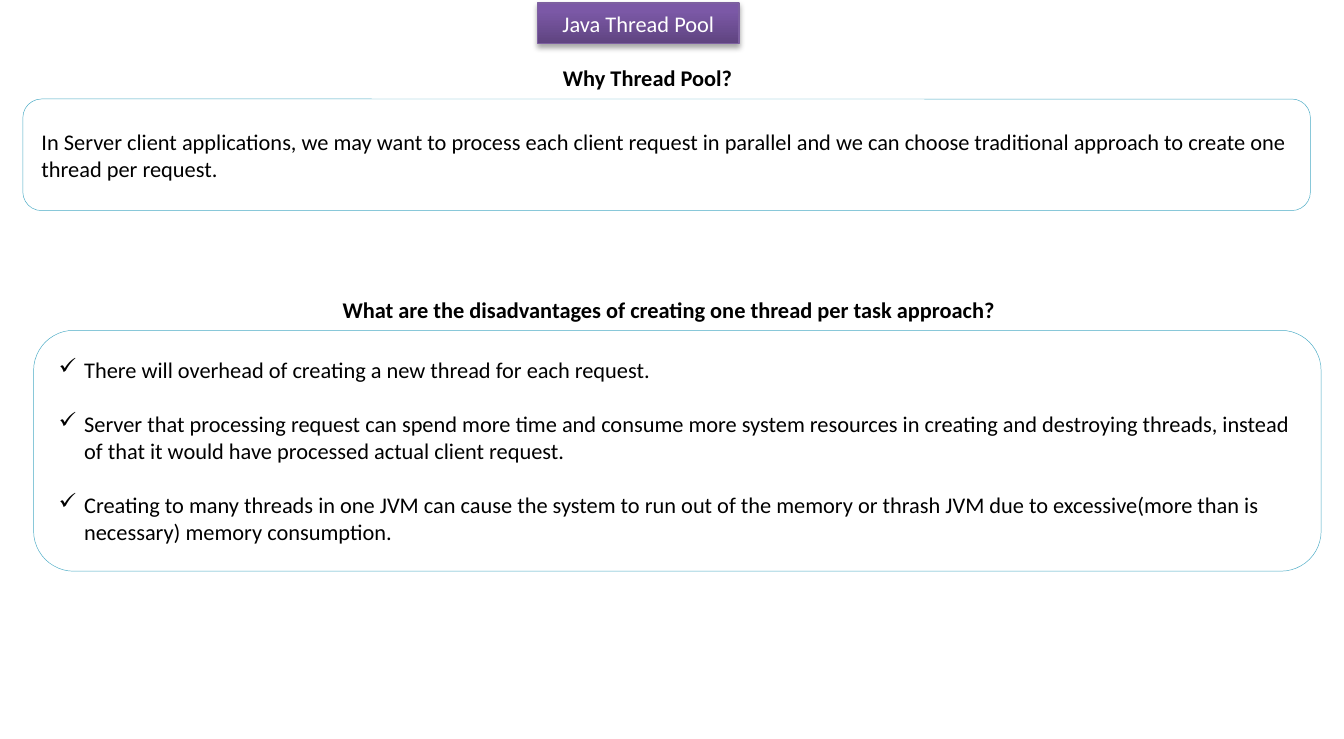
from lxml import etree
from pptx import Presentation
from pptx.dml.color import RGBColor
from pptx.enum.shapes import MSO_SHAPE
from pptx.enum.text import MSO_ANCHOR, MSO_AUTO_SIZE, PP_ALIGN
from pptx.oxml.ns import qn
from pptx.util import Inches, Pt

ROUNDED = MSO_SHAPE.ROUNDED_RECTANGLE
MIDDLE, TOP = MSO_ANCHOR.MIDDLE, MSO_ANCHOR.TOP
CENTER, LEFT = PP_ALIGN.CENTER, PP_ALIGN.LEFT
FIXED = MSO_AUTO_SIZE.NONE
BODY = {"name": "Calibri", "size": Pt(12), "bold": False}
HEADING = {**BODY, "bold": True}
BULLET_INDENT = Inches(0.19)


def color(value):
    return RGBColor.from_string(value)


def write(shape, lines, font, ink, alignment, anchor, wrap):
    frame = shape.text_frame
    frame.text = "\n".join(lines)
    frame.word_wrap = wrap
    frame.auto_size = FIXED
    frame.vertical_anchor = anchor
    for index, paragraph in enumerate(frame.paragraphs):
        paragraph.alignment = alignment
        if index:
            paragraph.space_before = Pt(14.5)
        if len(lines) > 1:
            properties = paragraph._p.get_or_add_pPr()
            properties.set("marL", str(BULLET_INDENT))
            properties.set("indent", str(-BULLET_INDENT))
            etree.SubElement(properties, qn("a:buFont"), typeface="Wingdings")
            etree.SubElement(properties, qn("a:buChar"), char="ü")
        for name, value in font.items():
            setattr(paragraph.font, name, value)
        paragraph.font.color.rgb = color(ink)


presentation = Presentation()
presentation.slide_width = Inches(10)
presentation.slide_height = Inches(5.5)
column = presentation.slide_width / 100
row = presentation.slide_height / 100
slide = presentation.slides.add_slide(presentation.slide_layouts[5])

title = slide.shapes.title
title.left, title.top = int(40 * column), int(0.4 * row)
title.width, title.height = int(15 * column), int(5.5 * row)
title.fill.gradient()
title.fill.gradient_angle = 90
for stop, (position, shade) in zip(title.fill.gradient_stops, [(0, "5F4480"), (0.8, "7B58A6")]):
    stop.position = position
    stop.color.rgb = color(shade)
title.line.color.rgb = color("7D60A0")
title.line.width = Pt(0.75)
title.shadow.inherit = False
effects = title._element.spPr.find(qn("a:effectLst"))
shadow = etree.SubElement(effects, qn("a:outerShdw"), blurRad=str(Pt(3.1)),
                          dist=str(Pt(1.8)), dir="5400000", rotWithShape="0")
shadow_color = etree.SubElement(shadow, qn("a:srgbClr"), val="000000")
etree.SubElement(shadow_color, qn("a:alpha"), val="35000")
write(title, ["Java Thread Pool"], BODY, "FFFFFF", CENTER, MIDDLE, True)

headings = [
    (40.9, 7.8, 14.8, "Why Thread Pool?"),
    (24.5, 39.2, 51.1, "What are the disadvantages of creating one thread per task approach?"),
]
for left, top, width, text in headings:
    heading = slide.shapes.add_textbox(
        int(left * column), int(top * row), int(width * column), int(5.5 * row))
    write(heading, [text], HEADING, "000000", LEFT, TOP, False)

panels = [
    (1.7, 13.4, 15.1, [
        "In Server client applications, we may want to process each client request in parallel "
        "and we can choose traditional approach to create one thread per request.",
    ]),
    (2.5, 44.7, 32.6, [
        "There will overhead of creating a new thread for each request.",
        "Server that processing request can spend more time and consume more system resources "
        "in creating and destroying threads, instead of that it would have processed actual "
        "client request.",
        "Creating to many threads in one JVM can cause the system to run out of the memory or "
        "thrash JVM due to excessive(more than is necessary) memory consumption.",
    ]),
]
for left, top, height, lines in panels:
    panel = slide.shapes.add_shape(
        ROUNDED, int(left * column), int(top * row), int(95.8 * column), int(height * row))
    panel.shadow.inherit = False
    panel.fill.solid()
    panel.fill.fore_color.rgb = color("FFFFFF")
    panel.line.color.rgb = color("4BACC6")
    panel.line.width = Pt(0.25)
    write(panel, lines, BODY, "000000", LEFT, MIDDLE, True)

presentation.save("out.pptx")
